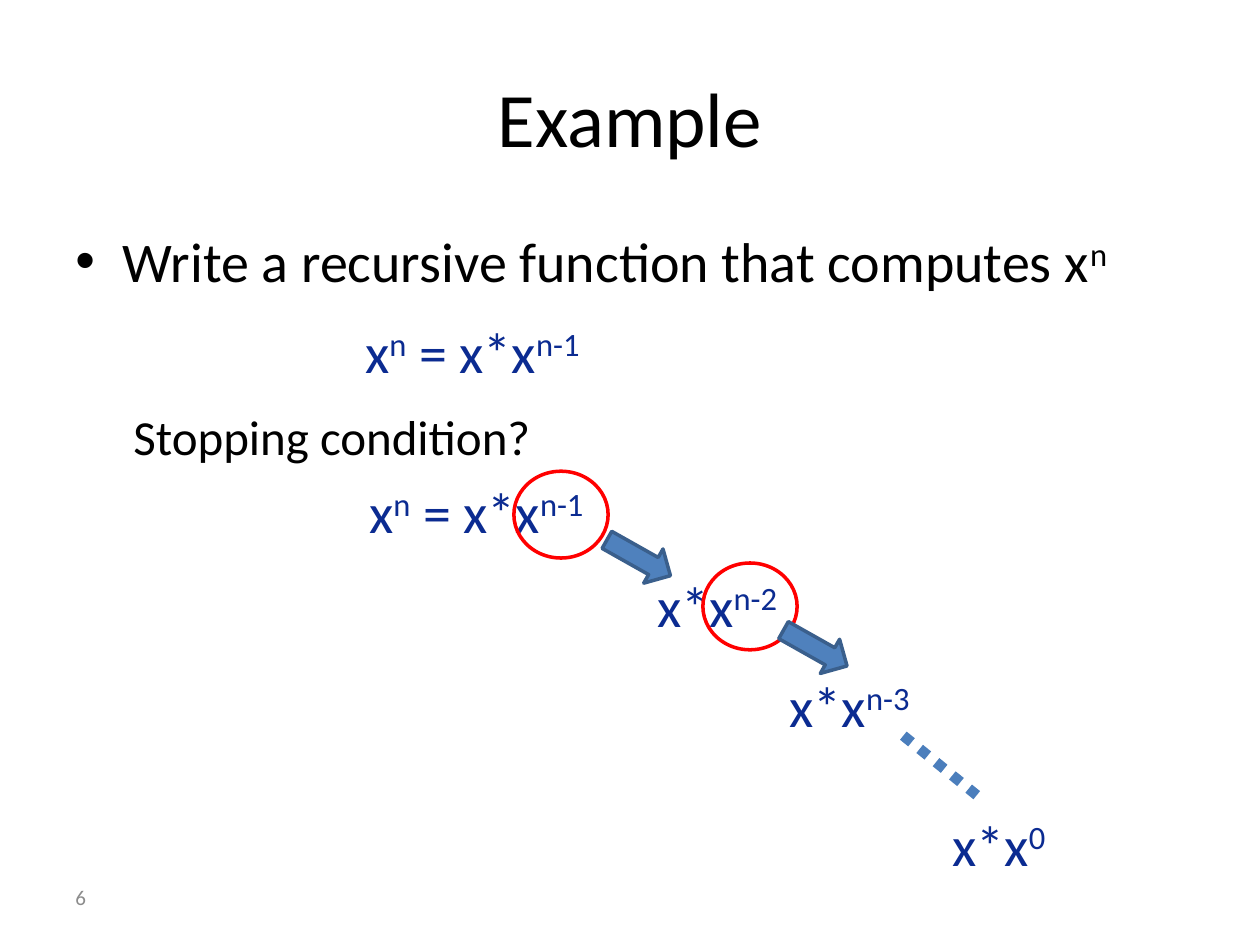
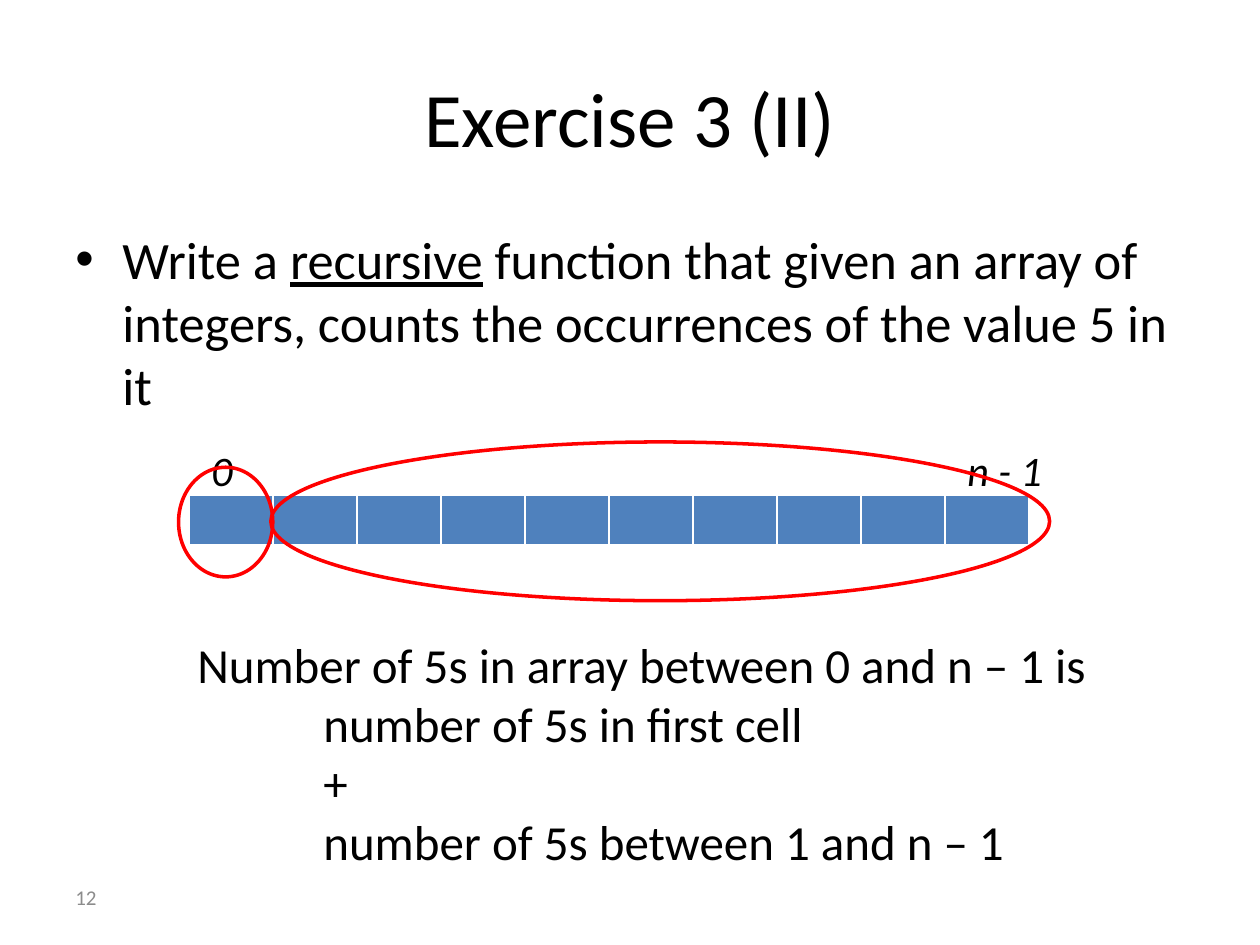
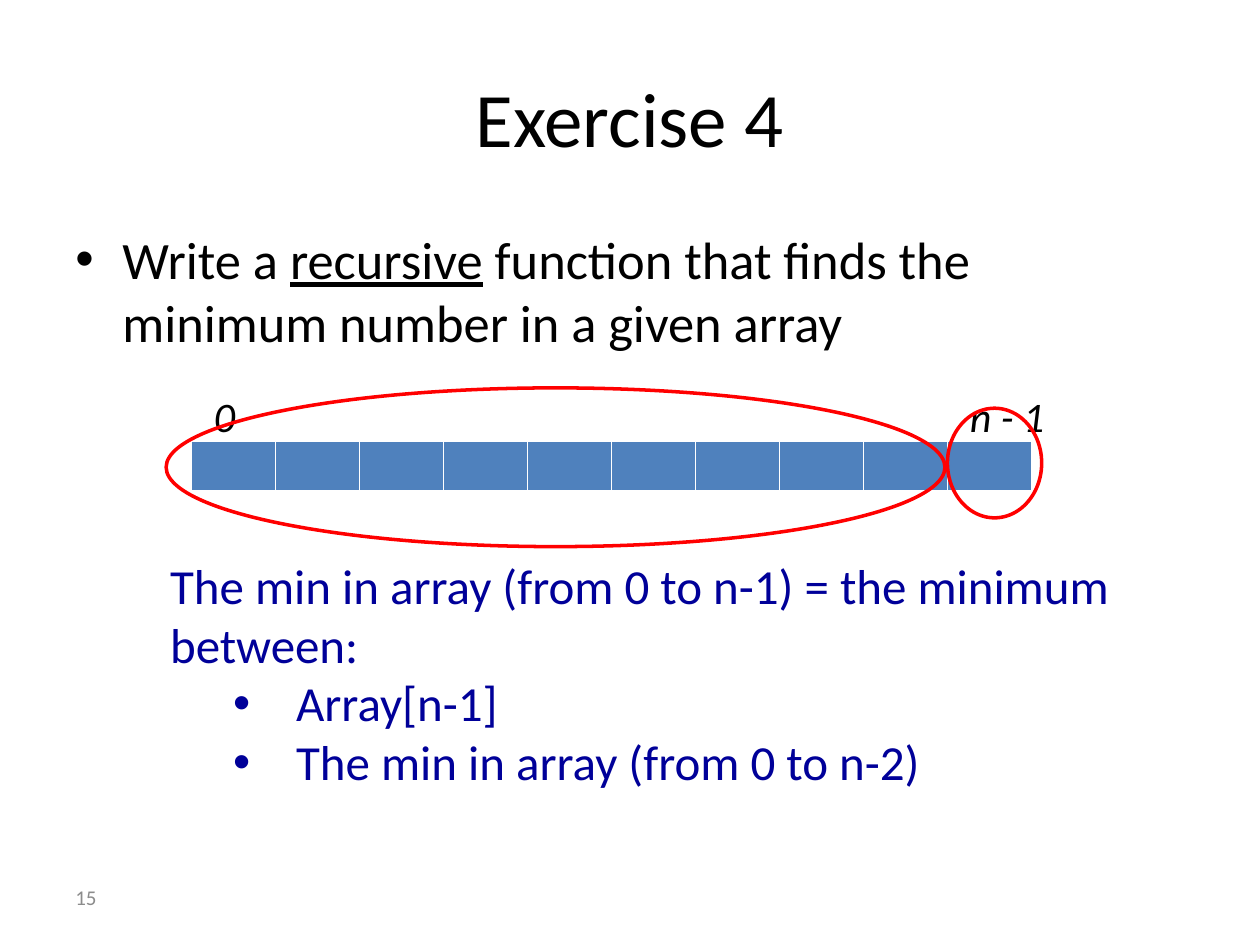
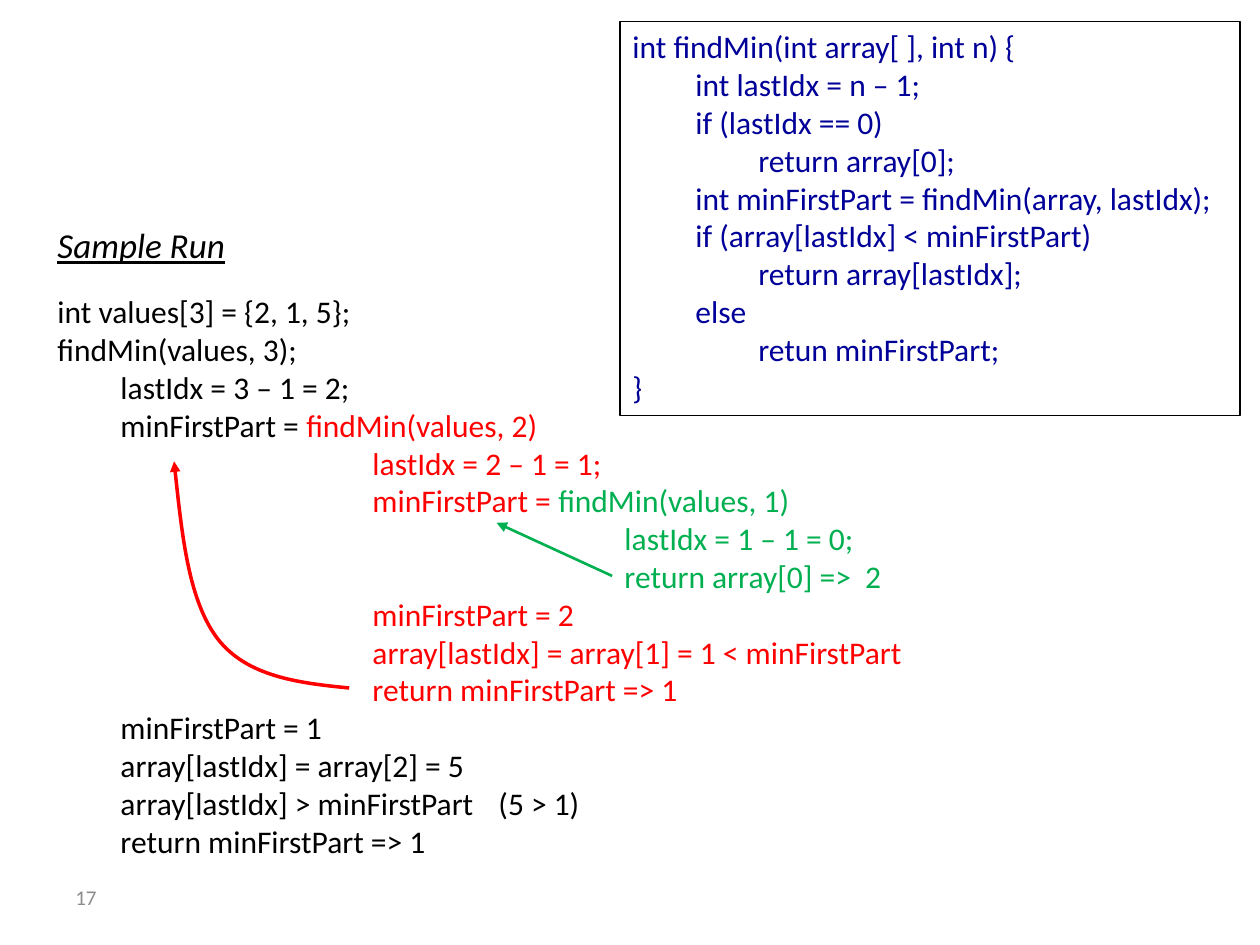
from collections import namedtuple

from lxml import etree
from pptx import Presentation
from pptx import util as u
from pptx.dml.color import RGBColor
from pptx.enum import dml, shapes, text
from pptx.oxml.ns import qn

# Shared look; all lengths are centimetres
Box = namedtuple("Box", "left top width height")
FONT = "Calibri"
BLACK, WHITE, GREY = "000000", "FFFFFF", "8C8C8C"
FORMULA, NAVY = "0B2B91", "000099"
RED, GREEN = "FF0000", "00B050"
BLUE, BLUE_EDGE, BLUE_LINE = "4F81BD", "3A5F8C", "4B7EBC"
TITLE = Box(1.27, 0.76, 22.86, 3.18)
BODY = Box(1.27, 4.45, 22.86, 12.57)
NUMBER = Box(1.27, 17.58, 5.92, 1.02)
TAB = 1.27
MIDDLE = text.MSO_ANCHOR.MIDDLE


def rgb(value):
    return RGBColor.from_string(value)


def emu(box):
    return [u.Cm(length) for length in box]


def add_child(parent, tag, **attributes):
    return etree.SubElement(parent, qn(tag), attributes)


# ---- text ----

def sup(words):
    return words, {"sup": True}


def write(frame, runs, size, color=BLACK, align=text.PP_ALIGN.LEFT, margin=0,
          indent=0, bullet=False, tab=None, before=0, italic=None, underline=None):
    """Adds one paragraph; runs is a string or a list of strings and (words, style)."""
    para = frame.paragraphs[0]
    if para.runs:
        para = frame.add_paragraph()
    props = para._p.get_or_add_pPr()
    props.set("marL", str(u.Cm(margin)))
    props.set("indent", str(u.Cm(indent)))
    if bullet:
        add_child(props, "a:buFont", typeface="Arial")
        add_child(props, "a:buChar", char="•")
    if tab:
        stops = add_child(props, "a:tabLst")
        add_child(stops, "a:tab", pos=str(u.Cm(tab)), algn="l")
    para.alignment = align
    if before:
        para.space_before = u.Pt(before)
    font = para.font
    font.name, font.size = FONT, u.Pt(size)
    font.italic, font.underline = italic, underline
    font.color.rgb = rgb(color)
    for item in [runs] if isinstance(runs, str) else runs:
        words, style = (item, {}) if isinstance(item, str) else item
        span = para.add_run()
        span.text = words
        if style.get("sup"):
            span.font._element.set("baseline", "30000")
        if style.get("underline"):
            span.font.underline = True
        if "color" in style:
            span.font.color.rgb = rgb(style["color"])


def text_frame(slide, box, anchor=text.MSO_ANCHOR.TOP):
    frame = slide.shapes.add_textbox(*emu(box)).text_frame
    frame.word_wrap = True
    frame.vertical_anchor = anchor
    return frame


def label(slide, box, runs, size, **style):
    write(text_frame(slide, box), runs, size, **style)


# ---- shapes and lines ----

def outline(shape, color, width):
    shape.line.color.rgb = rgb(color)
    shape.line.width = u.Pt(width)


def add_shape(slide, kind, box, line, width, fill=None):
    shape = slide.shapes.add_shape(kind, *emu(box))
    shape.shadow.inherit = False
    if fill:
        shape.fill.solid()
        shape.fill.fore_color.rgb = rgb(fill)
    else:
        shape.fill.background()
    outline(shape, line, width)
    return shape


def ring(slide, box):
    add_shape(slide, shapes.MSO_SHAPE.OVAL, box, RED, 2)


def arrow_head(shape):
    add_child(shape.element.spPr.find(qn("a:ln")), "a:tailEnd", type="triangle")


def straight_line(slide, start, end, color, width):
    line = slide.shapes.add_connector(shapes.MSO_CONNECTOR.STRAIGHT,
                                      *emu(start + end))
    outline(line, color, width)
    add_child(line.element.spPr, "a:effectLst")
    return line


def curved_arrow(slide, points, color, width):
    """Draws a start point followed by triples of Bezier points."""
    start, *rest = [emu(point) for point in points]
    builder = slide.shapes.build_freeform(*start)
    builder.add_line_segments(rest, close=False)
    curve = builder.convert_to_shape()
    curve.shadow.inherit = False
    curve.fill.background()
    outline(curve, color, width)
    arrow_head(curve)
    # Merge each three straight segments into one cubic segment
    segments = curve.element.findall(".//" + qn("a:lnTo"))
    for first in range(0, len(segments), 3):
        cubic = etree.Element(qn("a:cubicBezTo"))
        segments[first].addprevious(cubic)
        for segment in segments[first:first + 3]:
            cubic.append(segment[0])
            segment.getparent().remove(segment)


# ---- regions ----

def new_slide(deck, number, title=None):
    slide = deck.slides.add_slide(deck.slide_layouts[6])
    if title:
        write(text_frame(slide, TITLE, MIDDLE), title, 44,
              align=text.PP_ALIGN.CENTER)
    write(text_frame(slide, NUMBER, MIDDLE), str(number), 12, color=GREY)
    return slide


def task(slide, runs, size):
    label(slide, BODY, runs, size, margin=0.95, indent=-0.95, bullet=True,
          before=size * 0.2)


def array_row(slide, box, count=10):
    """A row of equal cells with its first and last index above."""
    table_frame = slide.shapes.add_table(1, count, *emu(box))
    table = table_frame.table
    table.first_row = table.horz_banding = False
    for column in table.columns:
        column.width = u.Cm(box.width / count)
    for cell in table.rows[0].cells:
        props = cell._tc.get_or_add_tcPr()
        for side, width in (("L", 1), ("R", 1), ("T", 1), ("B", 3)):
            edge = add_child(props, "a:ln" + side, w=str(u.Pt(width)))
            add_child(add_child(edge, "a:solidFill"), "a:srgbClr", val=WHITE)
        cell.fill.solid()
        cell.fill.fore_color.rgb = rgb(BLUE)
    for words, offset, width in (("0", 0.2, 1.48), ("n - 1", 15.44, 2.34)):
        label(slide, Box(box.left + offset, box.top - 1.14, width, 1.27),
              words, 24, italic=True)


def code_lines(frame, lines, color=BLACK):
    """Writes (depth, runs) lines, indented by whole tab steps."""
    for depth, runs in lines:
        write(frame, runs, 18, color=color, indent=depth * TAB, tab=7 * TAB)


# ---- slides ----

def power_slide(deck):
    slide = new_slide(deck, 6, "Example")
    task(slide, ["Write a recursive function that computes x", sup("n")], 32)
    label(slide, Box(2.44, 8.08, 8.89, 1.45), "Stopping condition?", 28)

    # Formulas
    whole = ["x", sup("n"), " = x*x", sup("n-1")]
    formulas = (
        (7.11, 6.27, 8.89, whole),
        (7.19, 9.5, 6.15, whole),
        (13, 11.4, 6.15, ["x*x", sup("n-2")]),
        (15.67, 13.41, 4.45, ["x*x", sup("n-3")]),
        (18.95, 16.21, 4.45, ["x*x", sup("0")]),
    )
    for left, top, width, runs in formulas:
        label(slide, Box(left, top, width, 1.63), runs, 32, color=FORMULA)

    # Each ringed power leads to the next product
    for left, top in ((10.36, 9.5), (14.17, 11.35)):
        ring(slide, Box(left, top, 1.9, 1.75))
    for left, top in ((12.14, 10.85), (15.7, 12.67)):
        arrow = add_shape(slide, shapes.MSO_SHAPE.RIGHT_ARROW,
                          Box(left, top, 1.47, 0.79), BLUE_EDGE, 2, BLUE)
        arrow.rotation = 29.4
    dots = straight_line(slide, (18.21, 14.83), (19.69, 16.03), BLUE_LINE, 6)
    dots.line.dash_style = dml.MSO_LINE.ROUND_DOT


def array_slide(deck, number, title, ending, row, rings):
    slide = new_slide(deck, number, title)
    task(slide, ["Write a ", ("recursive", {"underline": True}), ending], 30)
    array_row(slide, row)
    for box in rings:
        ring(slide, box)
    return slide


def count_slide(deck):
    slide = array_slide(
        deck, 12, "Exercise 3 (II)",
        " function that given an array of integers, counts the occurrences"
        " of the value 5 in it",
        Box(3.81, 9.98, 16.93, 1.04),
        [Box(3.6, 9.42, 1.9, 2.21), Box(5.46, 8.91, 15.7, 3.2)])
    frame = text_frame(slide, Box(3.73, 12.67, 19.69, 5.05))
    write(frame, "Number of 5s in array between 0 and n – 1 is", 28)
    for words in ("number of 5s in first cell", "+",
                  "number of 5s between 1 and n – 1"):
        write(frame, words, 28, margin=2 * TAB)


def minimum_slide(deck):
    slide = array_slide(
        deck, 15, "Exercise 4",
        " function that finds the minimum number in a given array",
        Box(3.86, 8.89, 16.93, 1.04),
        [Box(19.1, 8.23, 1.9, 2.21), Box(3.35, 7.82, 15.7, 3.2)])
    frame = text_frame(slide, Box(3.18, 11.07, 20.52, 5.05))
    write(frame, "The min in array (from 0 to n-1) = the minimum between:", 28,
          color=NAVY)
    for words in ("Array[n-1]", "The min in array (from 0 to n-2)"):
        write(frame, words, 28, color=NAVY, margin=2 * TAB, indent=-TAB,
              bullet=True)


def sample_run_slide(deck):
    slide = new_slide(deck, 17)

    # Function listing
    listing = add_shape(slide, shapes.MSO_SHAPE.RECTANGLE,
                        Box(12.5, 0.43, 12.5, 7.95), BLACK, 0.75).text_frame
    listing.word_wrap = True
    listing.vertical_anchor = text.MSO_ANCHOR.TOP
    code_lines(listing, (
        (0, "int findMin(int array[ ], int n) {"),
        (1, "int lastIdx = n – 1;"),
        (1, "if (lastIdx == 0)"),
        (2, "return array[0];"),
        (1, "int minFirstPart = findMin(array, lastIdx);"),
        (1, "if (array[lastIdx] < minFirstPart)"),
        (2, "return array[lastIdx];"),
        (1, "else"),
        (2, "retun minFirstPart;"),
        (0, "}"),
    ), NAVY)

    # Trace: each nested call has its own colour and depth
    label(slide, Box(0.91, 4.39, 6.99, 1.12), "Sample Run", 20, italic=True,
          underline=True)
    trace = text_frame(slide, Box(0.91, 5.77, 18.21, 11.79))
    code_lines(trace, (
        (0, "int values[3] = {2, 1, 5};"),
        (0, "findMin(values, 3);"),
        (1, "lastIdx = 3 – 1 = 2;"),
        (1, ["minFirstPart = ", ("findMin(values, 2)", {"color": RED})]),
    ))
    code_lines(trace, (
        (5, "lastIdx = 2 – 1 = 1;"),
        (5, ["minFirstPart = ", ("findMin(values, 1)", {"color": GREEN})]),
    ), RED)
    code_lines(trace, (
        (9, "lastIdx = 1 – 1 = 0;"),
        (9, "return array[0] =>  2"),
    ), GREEN)
    code_lines(trace, (
        (5, "minFirstPart = 2"),
        (5, "array[lastIdx] = array[1] = 1 < minFirstPart"),
        (5, "return minFirstPart => 1"),
    ), RED)
    code_lines(trace, (
        (1, "minFirstPart = 1"),
        (1, "array[lastIdx] = array[2] = 5"),
        (1, "array[lastIdx] > minFirstPart\t(5 > 1)"),
        (1, "return minFirstPart => 1"),
    ))

    # Returned values
    curved_arrow(slide, [(7.04, 13.87), (6.02, 13.77), (4.98, 13.64),
                         (4.39, 12.88), (3.81, 12.12), (3.66, 10.72),
                         (3.51, 9.3)], RED, 2)
    arrow_head(straight_line(slide, (12.34, 11.61), (10.01, 10.54), GREEN, 1.5))


deck = Presentation()
deck.slide_width, deck.slide_height = u.Cm(25.4), u.Cm(19.05)
power_slide(deck)
count_slide(deck)
minimum_slide(deck)
sample_run_slide(deck)
deck.save("out.pptx")
